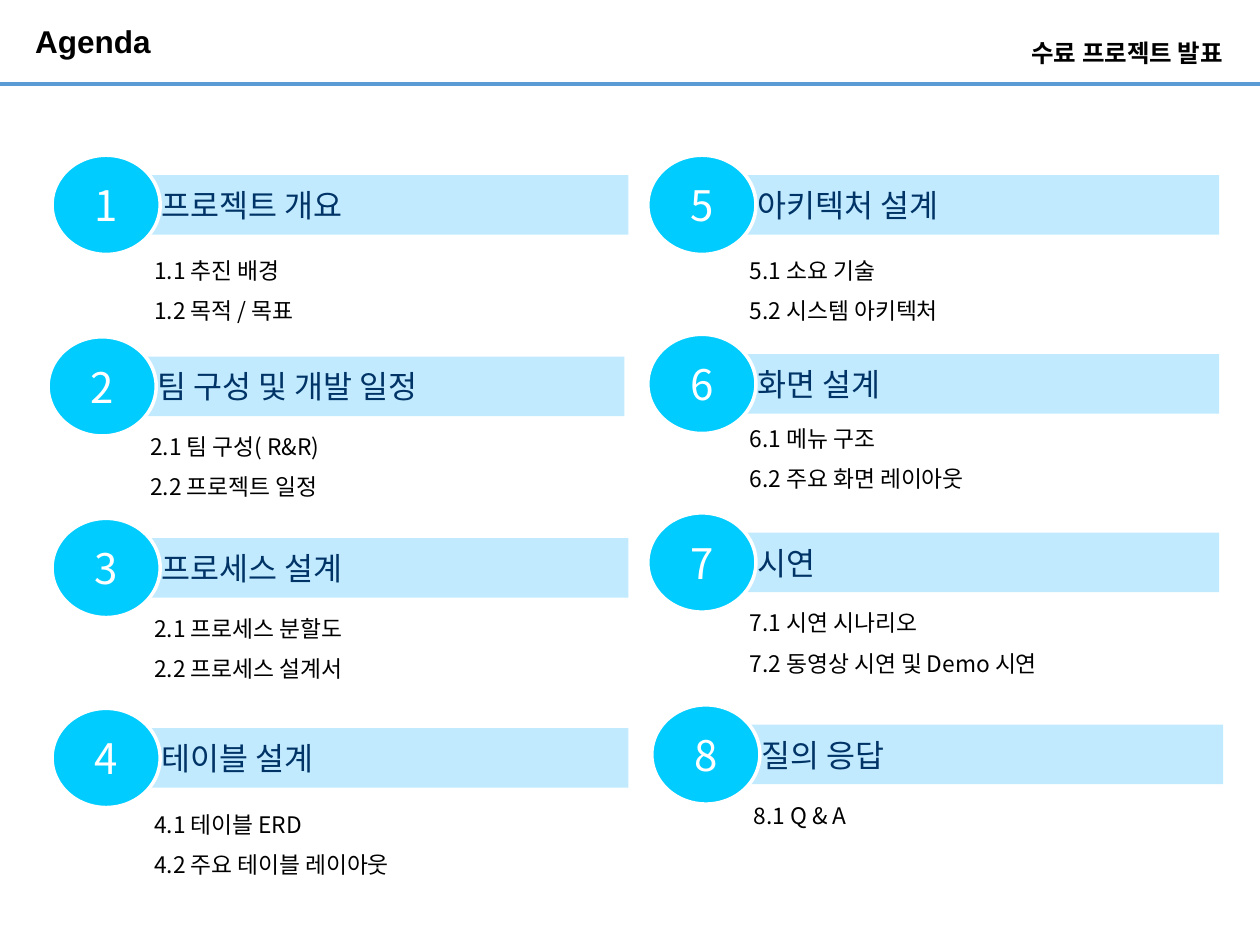
import pptx
import pptx.util
import pptx.dml.color
import pptx.enum.shapes
import pptx.enum.text
import pptx.oxml.ns
import lxml.etree

Cm, Pt = pptx.util.Cm, pptx.util.Pt
Align = pptx.enum.text.PP_ALIGN
Anchor = pptx.enum.text.MSO_ANCHOR
Shape = pptx.enum.shapes.MSO_SHAPE
qn = pptx.oxml.ns.qn


def color(text):
    return pptx.dml.color.RGBColor.from_string(text)


class Deck:
    """Holds the agenda style and the current slide."""

    font = "Noto Sans CJK KR"
    cyan, pale, navy = "00CCFF", "C1EAFF", "003366"
    black, white, rule = "000000", "FFFFFF", "5B9BD5"

    def __init__(self):
        self.prs = pptx.Presentation()
        self.prs.slide_width, self.prs.slide_height = Cm(25.4), Cm(19.05)
        self.slide = self.prs.slides.add_slide(self.prs.slide_layouts[1])

    def frame(self, shape, pads, anchor=Anchor.TOP):
        box = shape.text_frame
        box.word_wrap = True
        box.auto_size = pptx.enum.text.MSO_AUTO_SIZE.NONE
        box.vertical_anchor = anchor
        box.margin_left, box.margin_top, box.margin_right, box.margin_bottom = map(Cm, pads)
        return box

    def style(self, par, size, tint, align=Align.LEFT, bold=False, font=None):
        par.alignment = align
        par.font.size, par.font.bold = Pt(size), bold
        par.font.name = font or self.font
        par.font.color.rgb = color(tint)
        props = par._p.pPr.find(qn("a:defRPr"))
        lxml.etree.SubElement(props, qn("a:ea")).set("typeface", font or self.font)

    def holder(self, index, text, place, pads, anchor, size, align, font=None):
        shape = self.slide.placeholders[index]
        shape.left, shape.top, shape.width, shape.height = map(Cm, place)
        box = self.frame(shape, pads, anchor)
        box.text = text
        par = box.paragraphs[0]
        par.line_spacing, par.space_before = 0.9, Pt(0)
        props = par._p.get_or_add_pPr()
        props.set("marL", "0")
        props.set("indent", "0")
        lxml.etree.SubElement(props, qn("a:buNone"))
        self.style(par, size, self.black, align, True, font)

    def line(self, top):
        line = self.slide.shapes.add_connector(
            pptx.enum.shapes.MSO_CONNECTOR.STRAIGHT, 0, Cm(top), self.prs.slide_width, Cm(top))
        line.line.color.rgb = color(self.rule)
        line.line.width = Pt(2.25)
        lxml.etree.SubElement(line._element.spPr, qn("a:effectLst"))

    def shape(self, kind, place, fill, text, pads, size, tint, align):
        shape = self.slide.shapes.add_shape(kind, *map(Cm, place))
        shape.shadow.inherit = False
        shape.fill.solid()
        shape.fill.fore_color.rgb = color(fill)
        shape.line.fill.background()
        box = self.frame(shape, pads, Anchor.MIDDLE)
        box.text = text
        self.style(box.paragraphs[0], size, tint, align)
        return shape

    def bar(self, left, top, width, text):
        self.shape(Shape.RECTANGLE, (left, top, width, 1.2), self.pale, text,
                   (1.33, 0.13, 0, 0.13), 18, self.navy, Align.LEFT)

    def badge(self, left, top, text):
        shape = self.shape(Shape.OVAL, (left, top, 2.18, 2), self.cyan, text,
                           (0, 0, 0, 0), 24, self.white, Align.CENTER)
        shape.line.color.rgb = color(self.white)
        shape.line.width = Pt(2)

    def items(self, left, top, lines):
        height = 0.85 + 1.07 * (len(lines) - 1)
        shape = self.slide.shapes.add_textbox(Cm(left), Cm(top), Cm(9.5), Cm(height))
        box = self.frame(shape, (0.05, 0.13, 0.05, 0.13))
        box.text = "\n".join(lines)
        for i, par in enumerate(box.paragraphs):
            par.line_spacing = 1.2
            par.space_before = Pt(4.2 if i else 0)
            self.style(par, 13, self.black, Align.JUSTIFY)

    def topic(self, number, left, top, drop, head, lines):
        self.bar(left, top, 10.74 if number < 5 else 10.64, head)
        self.badge(left - 0.88, top - 0.4, str(number))
        self.items(left + 1.13, top + drop, lines)


TOPICS = [
    (1.93, 3.53, 1.4, "프로젝트 개요", ["1.1 추진 배경", "1.2 목적 / 목표"]),
    (1.85, 7.19, 1.3, "팀 구성 및 개발 일정", ["2.1 팀 구성( R&R)", "2.2 프로젝트 일정"]),
    (1.93, 10.85, 1.3, "프로세스 설계", ["2.1 프로세스 분할도", "2.2 프로세스 설계서"]),
    (1.93, 14.68, 1.42, "테이블 설계", ["4.1 테이블 ERD", "4.2 주요 테이블 레이아웃"]),
    (13.94, 3.53, 1.4, "아키텍처 설계", ["5.1 소요 기술", "5.2 시스템 아키텍처"]),
    (13.94, 7.14, 1.19, "화면 설계", ["6.1 메뉴 구조", "6.2 주요 화면 레이아웃"]),
    (13.94, 10.74, 1.3, "시연", ["7.1 시연 시나리오", "7.2 동영상 시연 및 Demo 시연"]),
    (14.02, 14.61, 1.32, "질의 응답", ["8.1 Q & A"]),
]


def main():
    deck = Deck()
    deck.line(1.7)
    deck.holder(0, "Agenda", (0.71, 0, 16.61, 1.73), (0, 0, 0, 0),
                Anchor.MIDDLE, 18, Align.LEFT, "Arial")
    deck.holder(1, "수료 프로젝트 발표", (16.18, 0.71, 8.48, 1), (0, 0.13, 0, 0.13),
                Anchor.TOP, 14, Align.RIGHT)
    for number, topic in enumerate(TOPICS, 1):
        deck.topic(number, *topic)
    deck.prs.save("out.pptx")


if __name__ == "__main__":
    main()
